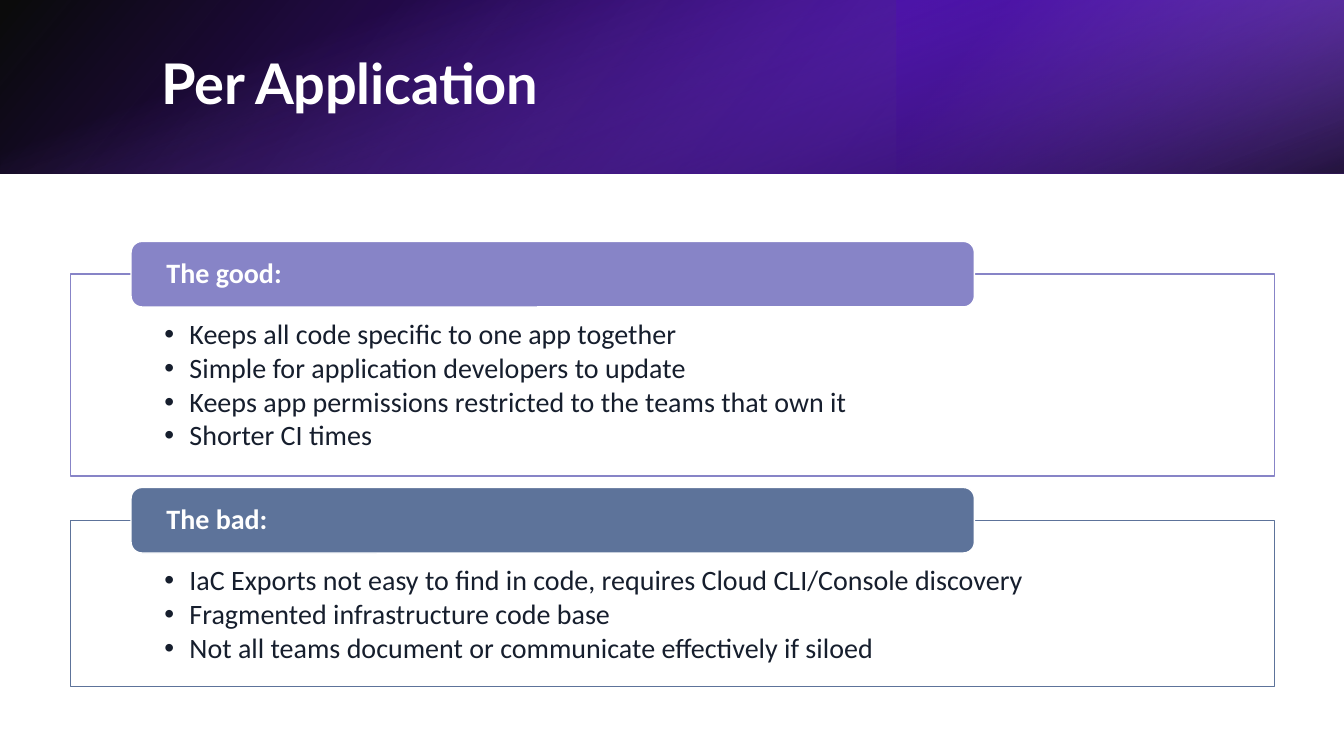
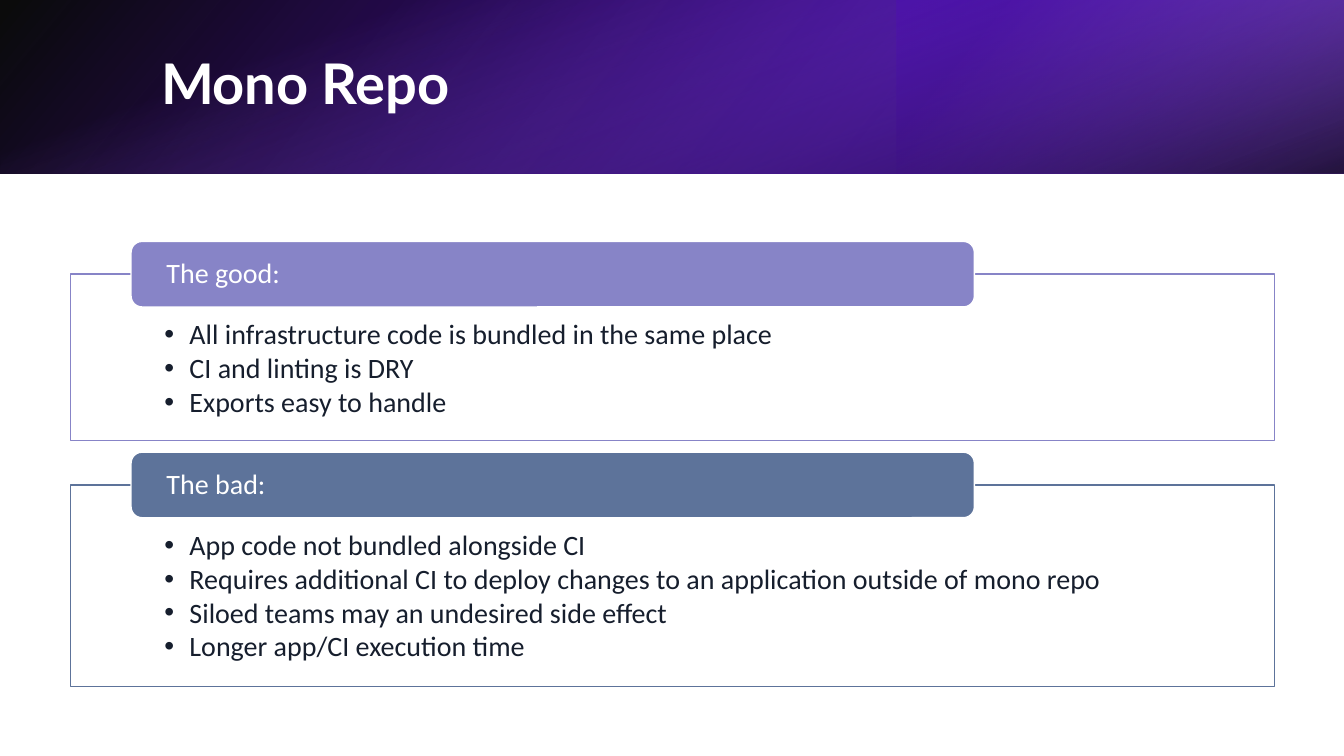
"""Build two slides that weigh per-application code against a mono repo."""
import lxml.etree
import pptx
import pptx.dml.color
import pptx.enum.shapes
import pptx.enum.text
import pptx.oxml.ns
import pptx.util

RGBColor = pptx.dml.color.RGBColor
Kind = pptx.enum.shapes.MSO_SHAPE
Anchor = pptx.enum.text.MSO_ANCHOR
qn = pptx.oxml.ns.qn

WHITE = RGBColor(0xFF, 0xFF, 0xFF)
BLACK = RGBColor(0x00, 0x00, 0x00)
INK = RGBColor(0x16, 0x1E, 0x2D)
LILAC = RGBColor(0x87, 0x84, 0xC7)
SLATE = RGBColor(0x5D, 0x73, 0x9A)
VIOLET = RGBColor(0x6A, 0x0D, 0xFF)
INDIGO = RGBColor(0x45, 0x00, 0xB2)
ORCHID = RGBColor(0xA1, 0x66, 0xFF)

WIDTH = pptx.util.Inches(13.333)
HEIGHT = pptx.util.Inches(7.5)
COLUMN = WIDTH / 100
ROW = HEIGHT / 100

BAND = 22.93 * ROW
TAB_HEIGHT = 8.67 * ROW
FIRST_TOP = 36.27 * ROW
PANEL_GAP = 5.87 * ROW
PANEL_PADDING = 8 * ROW
LINE_HEIGHT = 4.67 * ROW
BULLET_INDENT = pptx.util.Inches(0.25)

BAND_LAYERS = [
    (0, 0, WIDTH, BAND, 0, True, 220, [(0, BLACK, 96), (1, VIOLET, 100)]),
    (66.67 * COLUMN, 0, 33.33 * COLUMN, BAND, 180, True, 40,
     [(0.19, INDIGO, 68), (1, ORCHID, 79)]),
    ((WIDTH - BAND) / 2, (BAND - WIDTH) / 2, BAND, WIDTH, 90, False, 20,
     [(0.23, ORCHID, 0), (0.99, BLACK, 74)]),
]

SLIDES = [
    ("Per Application", True, [
        ("The good:", LILAC, [
            "Keeps all code specific to one app together",
            "Simple for application developers to update",
            "Keeps app permissions restricted to the teams that own it",
            "Shorter CI times",
        ]),
        ("The bad:", SLATE, [
            "IaC Exports not easy to find in code, requires Cloud CLI/Console discovery",
            "Fragmented infrastructure code base",
            "Not all teams document or communicate effectively if siloed",
        ]),
    ]),
    ("Mono Repo", False, [
        ("The good:", LILAC, [
            "All infrastructure code is bundled in the same place",
            "CI and linting is DRY",
            "Exports easy to handle",
        ]),
        ("The bad:", SLATE, [
            "App code not bundled alongside CI",
            "Requires additional CI to deploy changes to an application outside of mono repo",
            "Siloed teams may an undesired side effect",
            "Longer app/CI execution time",
        ]),
    ]),
]


def add_box(page, kind, left, top, width, height, fill=None, line=None):
    """Add a shape without shadow, with an optional solid fill and line."""
    box = page.shapes.add_shape(kind, *map(round, (left, top, width, height)))
    box.shadow.inherit = False
    if fill is not None:
        box.fill.solid()
        box.fill.fore_color.rgb = fill
    if line is None:
        box.line.fill.background()
    else:
        box.line.color.rgb = line
        box.line.width = pptx.util.Pt(1)
    return box


def write(box, lines, font="Calibri", size=20, color=INK, bold=False, bullet=False,
          anchor=Anchor.MIDDLE, insets=(0.1, 0.05), after=0, tracking=0):
    """Write one left-aligned paragraph per line into a box."""
    frame = box.text_frame
    frame.word_wrap = True
    frame.vertical_anchor = anchor
    frame.margin_left = frame.margin_right = pptx.util.Inches(insets[0])
    frame.margin_top = frame.margin_bottom = pptx.util.Inches(insets[1])
    for index, text in enumerate(lines):
        para = frame.add_paragraph() if index else frame.paragraphs[0]
        para.alignment = pptx.enum.text.PP_ALIGN.LEFT
        para.line_spacing = 0.9
        para.space_after = pptx.util.Pt(after)
        span = para.add_run()
        span.text = text
        span.font.name = font
        span.font.size = pptx.util.Pt(size)
        span.font.bold = bold
        span.font.color.rgb = color
        if tracking:
            span.font._element.set("spc", str(round(tracking * 100)))
        if bullet:
            properties = para._p.get_or_add_pPr()
            properties.set("marL", str(BULLET_INDENT))
            properties.set("indent", str(-BULLET_INDENT))
            lxml.etree.SubElement(properties, qn("a:buFont"), typeface="Arial")
            lxml.etree.SubElement(properties, qn("a:buChar"), char="•")


deck = pptx.Presentation()
deck.slide_width = WIDTH
deck.slide_height = HEIGHT

for title, bold_tabs, panels in SLIDES:
    page = deck.slides.add_slide(deck.slide_layouts[6])

    for left, top, width, height, turn, flipped, angle, stops in BAND_LAYERS:
        layer = add_box(page, Kind.RECTANGLE, left, top, width, height)
        layer.rotation = turn
        if flipped:
            layer._element.spPr.get_or_add_xfrm().set("flipH", "1")
        layer.fill.gradient()
        layer.fill.gradient_angle = angle
        for stop, (position, color, _) in zip(layer.fill.gradient_stops, stops):
            stop.position = position
            stop.color.rgb = color
        tints = layer._element.spPr.iter(qn("a:srgbClr"))
        for tint, (_, _, opacity) in zip(list(tints), stops):
            lxml.etree.SubElement(tint, qn("a:alpha"), val=str(opacity * 1000))

    heading = page.shapes.add_textbox(
        *map(round, (11.25 * COLUMN, 5.07 * ROW, 82.35 * COLUMN, 12.8 * ROW)))
    write(heading, [title], font="Lato", size=40, color=WHITE, bold=True, tracking=-0.1)

    top = FIRST_TOP
    for label, accent, points in panels:
        height = PANEL_PADDING + LINE_HEIGHT * len(points)
        panel = add_box(page, Kind.RECTANGLE, 5.25 * COLUMN, top, 89.6 * COLUMN, height,
                        fill=WHITE, line=accent)
        write(panel, points, bullet=True, anchor=Anchor.TOP, insets=(0.93, 0.46), after=2.5)
        tab = add_box(page, Kind.ROUNDED_RECTANGLE, 9.75 * COLUMN, top - TAB_HEIGHT / 2,
                      62.75 * COLUMN, TAB_HEIGHT, fill=accent, line=WHITE)
        write(tab, [label], color=WHITE, bold=bold_tabs, insets=(0.32, 0))
        top += height + PANEL_GAP

deck.save("out.pptx")
